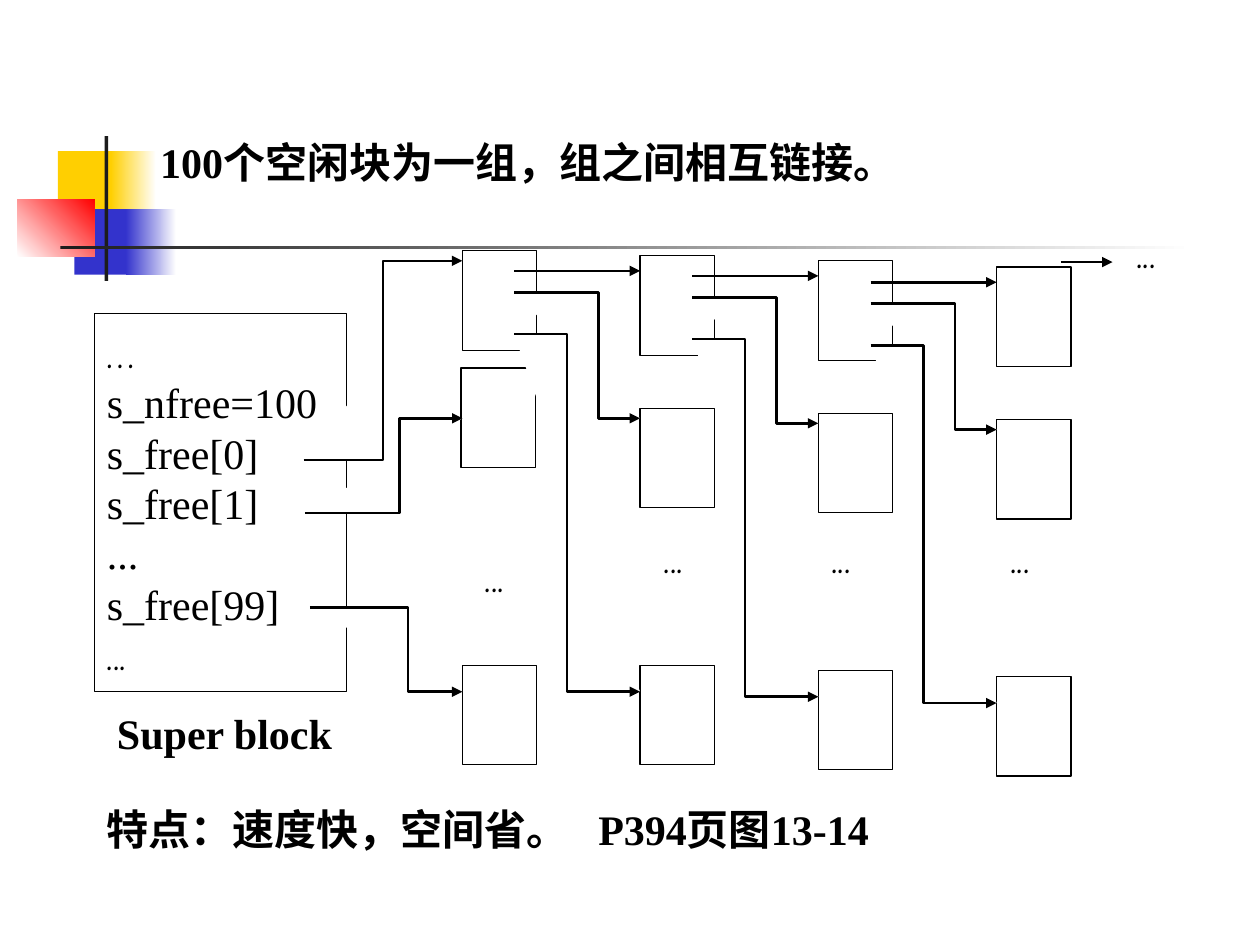
from lxml import etree
from pptx import Presentation
from pptx.dml.color import RGBColor
from pptx.enum.shapes import MSO_CONNECTOR, MSO_SHAPE
from pptx.enum.text import MSO_ANCHOR, PP_ALIGN
from pptx.oxml.ns import qn
from pptx.util import Inches, Pt

COLORS = {"white": "FFFFFF", "black": "000000", "yellow": "FFCF01",
          "blue": "3333CC", "red": "FF0000", "dark": "1C1C1C"}
SERIF, COMIC = "Times New Roman", "Comic Neue"

TITLE = "100个空闲块为一组，组之间相互链接。"
FOOTER = "特点：速度快，空间省。\tP394页图13-14"
FOOTER_TAB = 3.9
SUPER_BLOCK = [("…", COMIC), ("s_nfree=100", SERIF), ("s_free[0]", SERIF),
               ("s_free[1]", SERIF), ("...", SERIF), ("s_free[99]", SERIF),
               ("...", COMIC)]

# Ornament bars: left, top, width, height, colours, gradient angle
ORNAMENT = [
    (0.46, 1.2, 0.48, 0.52, ["yellow"], 0),
    (0.88, 1.2, 0.36, 0.52, ["yellow", "white"], 0),
    (0.59, 1.66, 0.46, 0.52, ["blue"], 0),
    (1.0, 1.66, 0.4, 0.52, ["blue", "white"], 0),
    (0.14, 1.58, 0.61, 0.46, ["white", "red"], 45),
    (0.83, 1.08, 0.03, 1.15, ["dark"], 0),
    (0.48, 1.95, 9, 0.03, ["dark", "white"], 0),
]

# Free blocks: the first column, then three linked groups
BLOCK_WIDTH, BLOCK_HEIGHT = 0.59, 0.79
FIRST_BLOCKS = [(3.66, 2.92), (3.67, 1.99), (3.67, 5.28)]
GROUP_LEFT, GROUP_STEP = 5.08, 1.415
GROUP_DROPS = [0, 0.04, 0.09]
GROUP_TOPS = [3.24, 5.28, 2.03]

# Elbow links: start x, start y, bend x, end x, end y
SUPER_LINKS = [(2.41, 3.65, 3.04, 3.67, 2.07), (2.42, 4.07, 3.17, 3.67, 3.32),
               (2.46, 4.82, 3.24, 3.67, 5.49)]
GROUP_LINKS = [(4.08, 2.32, 4.75, 5.08, 3.32), (4.08, 2.65, 4.5, 5.08, 5.49)]
ELLIPSES = [(8.92, 1.75), (7.92, 4.17), (6.5, 4.17), (5.17, 4.17)]


def rgb(name):
    return RGBColor.from_string(COLORS[name])


def set_fill(shape, names, angle=0):
    if len(names) == 1:
        shape.fill.solid()
        shape.fill.fore_color.rgb = rgb(names[0])
        return
    shape.fill.gradient()
    shape.fill.gradient_angle = angle
    for stop, name in zip(shape.fill.gradient_stops, names):
        stop.color.rgb = rgb(name)


def set_line(shape, width):
    shape.line.color.rgb = rgb("black")
    shape.line.width = Pt(width)


def add_rectangle(left, top, width, height, names=("white",), angle=0, outline=True):
    shape = slide.shapes.add_shape(MSO_SHAPE.RECTANGLE, Inches(left), Inches(top),
                                   Inches(width), Inches(height))
    shape.shadow.inherit = False
    set_fill(shape, names, angle)
    if outline:
        set_line(shape, 0.75)
    else:
        shape.line.fill.background()
    return shape


def add_block(left, top):
    add_rectangle(left, top, BLOCK_WIDTH, BLOCK_HEIGHT)


def write(shape, lines, bold=False, anchor=MSO_ANCHOR.TOP, tab=None):
    frame = shape.text_frame
    frame.word_wrap = True
    frame.vertical_anchor = anchor
    frame.margin_left = frame.margin_right = Inches(0.1)
    frame.margin_top = frame.margin_bottom = Inches(0.05)
    frame.text = "\n".join(text for text, font in lines)
    for paragraph, (text, font) in zip(frame.paragraphs, lines):
        paragraph.alignment = PP_ALIGN.LEFT
        paragraph.space_before = Pt(0)
        if tab:
            tabs = etree.SubElement(paragraph._p.get_or_add_pPr(), qn("a:tabLst"))
            etree.SubElement(tabs, qn("a:tab"), pos=str(Inches(tab)), algn="l")
        for run in paragraph.runs:
            run.font.size = Pt(24)
            run.font.name = font
            run.font.bold = bold
            run.font.color.rgb = rgb("black")


def add_text(left, top, width, text, font, bold=False, tab=None):
    box = slide.shapes.add_textbox(Inches(left), Inches(top), Inches(width), Inches(0.5))
    write(box, [(text, font)], bold, tab=tab)
    return box


def add_arrowhead(shape):
    set_line(shape, 1.5)
    etree.SubElement(shape.line._get_or_add_ln(), qn("a:tailEnd"), type="triangle")


def add_arrow(start_x, end_x, y):
    arrow = slide.shapes.add_connector(MSO_CONNECTOR.STRAIGHT, Inches(start_x),
                                       Inches(y), Inches(end_x), Inches(y))
    add_arrowhead(arrow)
    etree.SubElement(arrow._element.spPr, qn("a:effectLst"))


def add_elbow(start_x, start_y, bend_x, end_x, end_y, right=0, down=0):
    points = [(Inches(x + right), Inches(y + down)) for x, y in
              [(start_x, start_y), (bend_x, start_y), (bend_x, end_y), (end_x, end_y)]]
    builder = slide.shapes.build_freeform(*points[0])
    builder.add_line_segments(points[1:], close=False)
    elbow = builder.convert_to_shape()
    elbow.shadow.inherit = False
    set_fill(elbow, ["white"])
    add_arrowhead(elbow)


presentation = Presentation()
presentation.slide_width, presentation.slide_height = Inches(10), Inches(7.5)
slide = presentation.slides.add_slide(presentation.slide_layouts[5])

# Title and ornament
title = slide.shapes.title
title.left, title.top = Inches(1.17), Inches(1.03)
title.width, title.height = Inches(6.98), Inches(0.5)
write(title, [(TITLE, SERIF)], bold=True)
for *place, names, angle in ORNAMENT:
    add_rectangle(*place, names, angle, outline=False)

# Super block and the first column of free blocks
super_block = add_rectangle(0.75, 2.49, 2, 3)
write(super_block, SUPER_BLOCK, anchor=MSO_ANCHOR.MIDDLE)
add_text(0.83, 5.57, 1.92, "Super block", SERIF, bold=True)
for left, top in FIRST_BLOCKS:
    add_block(left, top)
set_fill(add_text(3.75, 4.32, 0.58, "...", COMIC), ["white"])
for link in SUPER_LINKS:
    add_elbow(*link)

# Linked groups, each shifted right and slightly down
for index, drop in enumerate(GROUP_DROPS):
    shift = index * GROUP_STEP
    for top in GROUP_TOPS:
        add_block(GROUP_LEFT + shift, top + drop)
    add_arrow(4.08 + shift, 5.08 + shift, 2.15 + drop)
    for link in GROUP_LINKS:
        add_elbow(*link, right=shift, down=drop)

# Continuation arrow, ellipses and closing remark
add_arrow(8.42, 8.83, 2.08)
for left, top in ELLIPSES:
    add_text(left, top, 0.58, "...", COMIC)
add_text(0.75, 6.33, 7.83, FOOTER, SERIF, bold=True, tab=FOOTER_TAB)

presentation.save("out.pptx")
